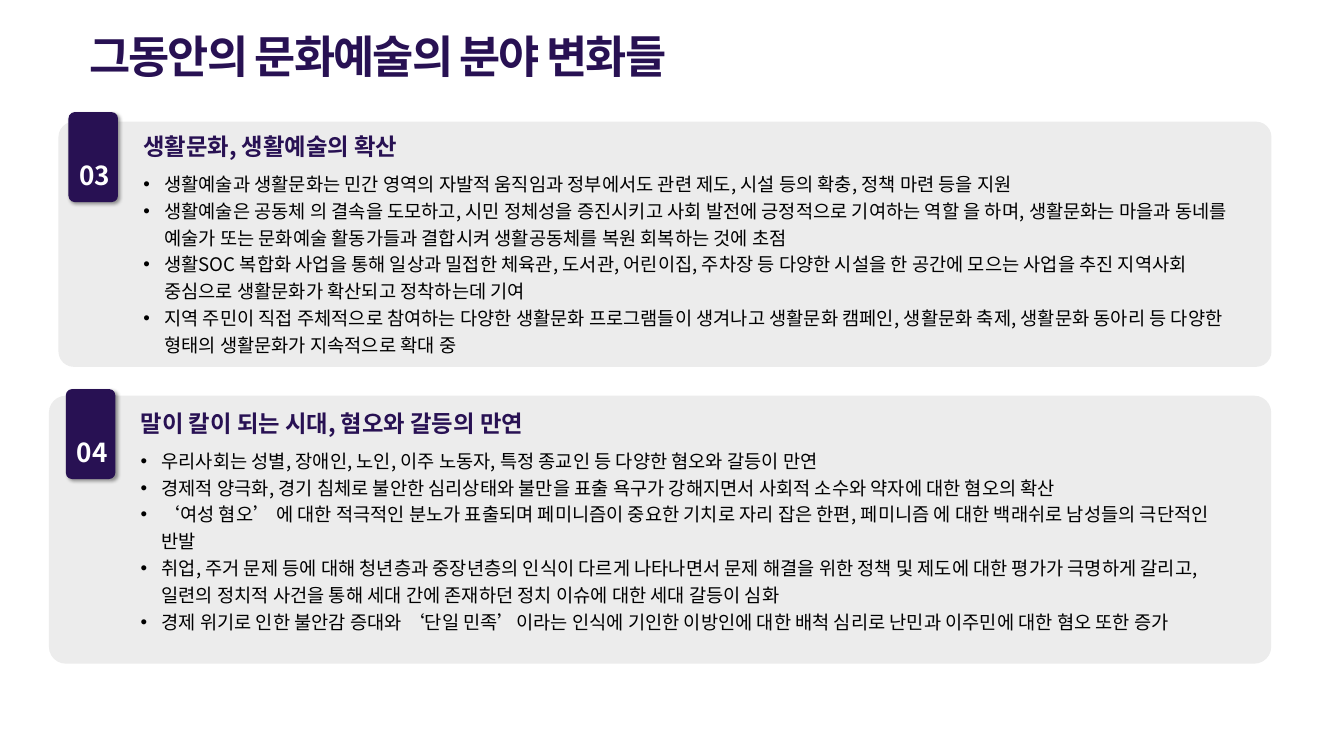
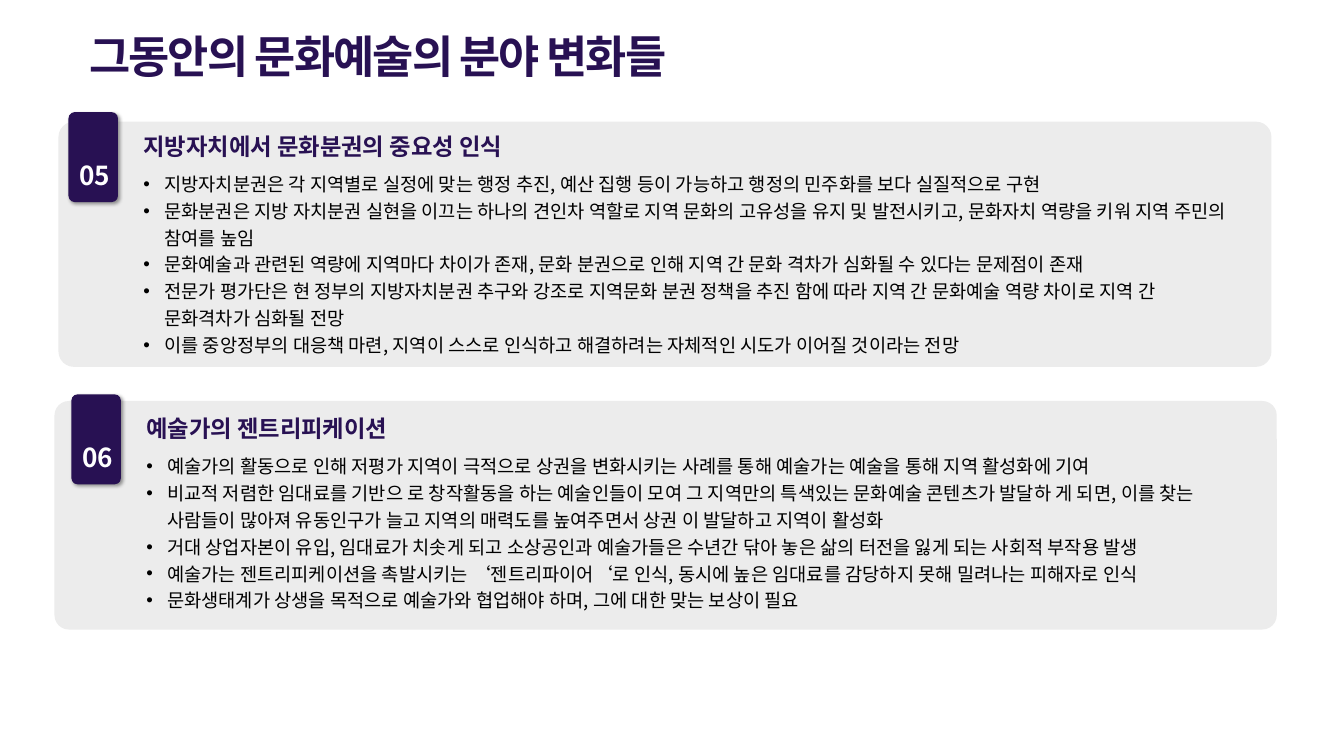
from dataclasses import dataclass

from lxml.etree import SubElement
from pptx import Presentation
from pptx.dml.color import RGBColor
from pptx.enum.shapes import MSO_SHAPE
from pptx.enum.text import MSO_AUTO_SIZE, PP_ALIGN
from pptx.oxml.ns import qn
from pptx.util import Cm, Pt

FONT = "Noto Sans CJK KR"
PURPLE, GREY, WHITE, BLACK = "281153", "ECECEC", "FFFFFF", "000000"
TITLE = "그동안의 문화예술의 분야 변화들"
BULLET_INDENT = Cm(0.79)


@dataclass
class Box:
    """A rectangle in centimetres."""
    left: float
    top: float
    width: float
    height: float

    def lengths(self):
        """Return the four sides as slide lengths."""
        return [Cm(side) for side in (self.left, self.top, self.width, self.height)]


@dataclass
class PanelStyle:
    """How the tab and the text sit within a panel."""
    tab_left: float
    tab_rise: float
    text_right_gap: float


UPPER = PanelStyle(0.38, 0.36, 1.07)
LOWER = PanelStyle(0.64, 0.25, 0.81)
UPPER_BOX = Box(2.21, 4.6, 45.85, 9.27)

SLIDES = [
    [
        (UPPER, UPPER_BOX, 8.94, "03", "생활문화, 생활예술의 확산", [
            "생활예술과 생활문화는 민간 영역의 자발적 움직임과 정부에서도 관련 제도, 시설 등의 확충, 정책 마련 등을 지원",
            "생활예술은 공동체 의 결속을 도모하고, 시민 정체성을 증진시키고 사회 발전에 긍정적으로 기여하는 역할 을 하며, "
            "생활문화는 마을과 동네를 예술가 또는 문화예술 활동가들과 결합시켜 생활공동체를 복원 회복하는 것에 초점",
            "생활SOC 복합화 사업을 통해 일상과 밀접한 체육관, 도서관, 어린이집, 주차장 등 다양한 시설을 한 공간에 모으는 "
            "사업을 추진 지역사회 중심으로 생활문화가 확산되고 정착하는데 기여",
            "지역 주민이 직접 주체적으로 참여하는 다양한 생활문화 프로그램들이 생겨나고 생활문화 캠페인, 생활문화 축제, "
            "생활문화 동아리 등 다양한 형태의 생활문화가 지속적으로 확대 중",
        ]),
        (LOWER, Box(1.85, 14.96, 46.2, 10.13), 8.94, "04", "말이 칼이 되는 시대, 혐오와 갈등의 만연", [
            "우리사회는 성별, 장애인, 노인, 이주 노동자, 특정 종교인 등 다양한 혐오와 갈등이 만연",
            "경제적 양극화, 경기 침체로 불안한 심리상태와 불만을 표출 욕구가 강해지면서 사회적 소수와 약자에 대한 혐오의 확산",
            "‘여성 혐오’ 에 대한 적극적인 분노가 표출되며 페미니즘이 중요한 기치로 자리 잡은 한편, "
            "페미니즘 에 대한 백래쉬로 남성들의 극단적인 반발",
            "취업, 주거 문제 등에 대해 청년층과 중장년층의 인식이 다르게 나타나면서 문제 해결을 위한 정책 및 제도에 대한 "
            "평가가 극명하게 갈리고, 일련의 정치적 사건을 통해 세대 간에 존재하던 정치 이슈에 대한 세대 갈등이 심화",
            "경제 위기로 인한 불안감 증대와 ‘단일 민족’이라는 인식에 기인한 이방인에 대한 배척 심리로 "
            "난민과 이주민에 대한 혐오 또한 증가",
        ]),
    ],
    [
        (UPPER, UPPER_BOX, 8.94, "05", "지방자치에서 문화분권의 중요성 인식", [
            "지방자치분권은 각 지역별로 실정에 맞는 행정 추진, 예산 집행 등이 가능하고 행정의 민주화를 보다 실질적으로 구현",
            "문화분권은 지방 자치분권 실현을 이끄는 하나의 견인차 역할로 지역 문화의 고유성을 유지 및 발전시키고, "
            "문화자치 역량을 키워 지역 주민의 참여를 높임",
            "문화예술과 관련된 역량에 지역마다 차이가 존재, 문화 분권으로 인해 지역 간 문화 격차가 심화될 수 있다는 "
            "문제점이 존재",
            "전문가 평가단은 현 정부의 지방자치분권 추구와 강조로 지역문화 분권 정책을 추진 함에 따라 지역 간 문화예술 "
            "역량 차이로 지역 간 문화격차가 심화될 전망",
            "이를 중앙정부의 대응책 마련, 지역이 스스로 인식하고 해결하려는 자체적인 시도가 이어질 것이라는 전망",
        ]),
        (LOWER, Box(2.06, 15.16, 46.2, 8.64), 7.9, "06", "예술가의 젠트리피케이션", [
            "예술가의 활동으로 인해 저평가 지역이 극적으로 상권을 변화시키는 사례를 통해 예술가는 예술을 통해 지역 활성화에 기여",
            "비교적 저렴한 임대료를 기반으 로 창작활동을 하는 예술인들이 모여 그 지역만의 특색있는 문화예술 콘텐츠가 발달하 "
            "게 되면, 이를 찾는 사람들이 많아져 유동인구가 늘고 지역의 매력도를 높여주면서 상권 이 발달하고 지역이 활성화",
            "거대 상업자본이 유입, 임대료가 치솟게 되고 소상공인과 예술가들은 수년간 닦아 놓은 삶의 터전을 잃게 되는 "
            "사회적 부작용 발생",
            "예술가는 젠트리피케이션을 촉발시키는 ‘젠트리파이어‘로 인식, 동시에 높은 임대료를 감당하지 못해 밀려나는 "
            "피해자로 인식",
            "문화생태계가 상생을 목적으로 예술가와 협업해야 하며, 그에 대한 맞는 보상이 필요",
        ]),
    ],
]


def color(hex_string):
    """Turn a hex string into a colour."""
    return RGBColor.from_string(hex_string)


def add_run(paragraph, text, size, hex_string, bold=True):
    """Add one styled run to a paragraph."""
    run = paragraph.add_run()
    run.text = text
    run.font.size = Pt(size)
    run.font.bold = bold
    run.font.color.rgb = color(hex_string)
    run.font.name = FONT
    SubElement(run.font._element, qn("a:ea"), typeface=FONT)
    return run


def add_text_frame(shapes, box):
    """Add a wrapping text box and return its frame."""
    text_frame = shapes.add_textbox(*box.lengths()).text_frame
    text_frame.word_wrap = True
    text_frame.auto_size = MSO_AUTO_SIZE.SHAPE_TO_FIT_TEXT
    return text_frame


def add_rounded_box(shapes, box, hex_string, roundness):
    """Add a filled rounded rectangle without line or shadow."""
    shape = shapes.add_shape(MSO_SHAPE.ROUNDED_RECTANGLE, *box.lengths())
    shape.adjustments[0] = roundness
    shape.fill.solid()
    shape.fill.fore_color.rgb = color(hex_string)
    shape.line.fill.background()
    shape.shadow.inherit = False
    return shape


def add_soft_shadow(shape):
    """Give a shape a soft shadow towards the lower right."""
    effects = shape._element.spPr.find(qn("a:effectLst"))
    shadow = SubElement(effects, qn("a:outerShdw"), blurRad=str(Pt(4)), dist=str(Pt(3)),
                        dir="2700000", algn="tl", rotWithShape="0")
    shade = SubElement(shadow, qn("a:srgbClr"), val=BLACK)
    SubElement(shade, qn("a:alpha"), val="40000")


def add_bullet(paragraph):
    """Give a paragraph a bullet with a hanging indent."""
    properties = paragraph._p.get_or_add_pPr()
    properties.set("marL", str(BULLET_INDENT))
    properties.set("indent", str(-BULLET_INDENT))
    SubElement(properties, qn("a:buFont"), typeface="Arial")
    SubElement(properties, qn("a:buChar"), char="•")


def add_title(slide):
    """Add the slide title."""
    text_frame = add_text_frame(slide.shapes, Box(3.12, 0.97, 29.9, 2.31))
    run = add_run(text_frame.paragraphs[0], TITLE, 48, PURPLE)
    run.font._element.set("spc", "-200")


def add_tab(shapes, box, number):
    """Add the numbered tab of a panel."""
    add_soft_shadow(add_rounded_box(shapes, box, PURPLE, 0.125))
    number_box = Box(box.left + 0.1, box.top + 1.66, 1.78, 1.45)
    paragraph = add_text_frame(shapes, number_box).paragraphs[0]
    paragraph.alignment = PP_ALIGN.CENTER
    add_run(paragraph, number, 28, WHITE)


def add_panel_text(shapes, box, heading, points):
    """Add the heading and the bullet points of a panel."""
    text_frame = add_text_frame(shapes, box)
    paragraph = text_frame.paragraphs[0]
    paragraph.line_spacing = 1.2
    paragraph.space_after = Pt(8.6)
    add_run(paragraph, heading, 25, PURPLE)
    for point in points:
        paragraph = text_frame.add_paragraph()
        paragraph.line_spacing = 1.2
        add_bullet(paragraph)
        add_run(paragraph, point, 20, BLACK, bold=False)


def add_panel(slide, style, box, text_height, number, heading, points):
    """Add a grey panel with its tab and text as one group."""
    shapes = slide.shapes.add_group_shape().shapes
    add_rounded_box(shapes, box, GREY, 0.063)
    tab = Box(box.left + style.tab_left, box.top - style.tab_rise, 1.87, 3.4)
    add_tab(shapes, tab, number)
    text_left = tab.left + 2.58
    text_width = box.left + box.width - style.text_right_gap - text_left
    add_panel_text(shapes, Box(text_left, tab.top + 0.42, text_width, text_height), heading, points)


def main():
    """Build and save the presentation."""
    presentation = Presentation()
    presentation.slide_width = Cm(50.8)
    presentation.slide_height = Cm(28.58)
    blank_layout = presentation.slide_layouts[6]
    for panels in SLIDES:
        slide = presentation.slides.add_slide(blank_layout)
        add_title(slide)
        for panel in panels:
            add_panel(slide, *panel)
    presentation.save("out.pptx")


if __name__ == "__main__":
    main()
